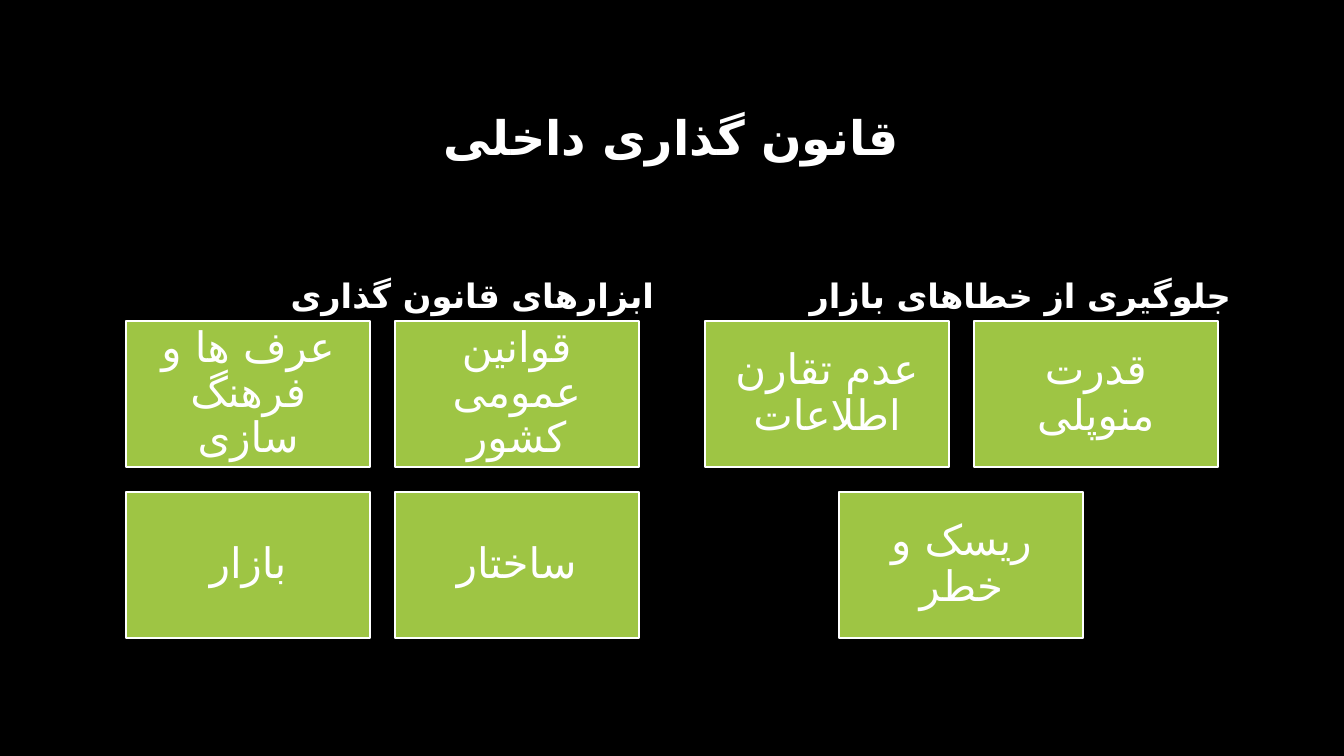
"""Builds a slide on domestic regulation with two headed groups of boxes."""
from dataclasses import dataclass

from lxml.etree import SubElement
from pptx import Presentation
from pptx.dml.color import RGBColor
from pptx.enum.shapes import MSO_SHAPE
from pptx.enum.text import MSO_ANCHOR, MSO_AUTO_SIZE, PP_ALIGN
from pptx.oxml.ns import qn
from pptx.util import Cm, Pt


@dataclass(frozen=True)
class Theme:
    background: RGBColor = RGBColor(0x00, 0x00, 0x00)
    text: RGBColor = RGBColor(0xFF, 0xFF, 0xFF)
    box: RGBColor = RGBColor(0x9E, 0xC5, 0x44)
    font: str = "TeX Gyre Bonum"
    persian_font: str = "DejaVu Sans"
    title_size: Pt = Pt(34)
    heading_size: Pt = Pt(24)
    box_size: Pt = Pt(30)
    outline: Pt = Pt(1.5)


THEME = Theme()
BOX_WIDTH, BOX_HEIGHT, GAP = Cm(6.15), Cm(3.69), Cm(0.62)
BOXES_TOP = Cm(8.08)
HEADING_TOP, HEADING_HEIGHT = Cm(5.79), Cm(2.29)
PER_ROW = 2
COLUMNS = [
    (1, Cm(3.18), Cm(13.56), "ابزارهای قانون گذاری",
     ["عرف ها و فرهنگ سازی", "قوانین عمومی کشور", "بازار", "ساختار"]),
    (3, Cm(17.77), Cm(13.51), "جلوگیری از خطاهای بازار",
     ["عدم تقارن اطلاعات", "قدرت منوپلی", "ریسک و خطر"]),
]


def write_text(tf, text, size, align, anchor, bold=False):
    """Fill a text frame with one formatted Persian run."""
    tf.word_wrap = True
    tf.auto_size = MSO_AUTO_SIZE.NONE
    tf.vertical_anchor = anchor
    p = tf.paragraphs[0]
    p.alignment = align
    r = p.add_run()
    r.text = text
    r.font.size, r.font.bold, r.font.name = size, bold, THEME.font
    r.font.color.rgb = THEME.text
    SubElement(r.font._element, qn("a:cs"), typeface=THEME.persian_font)
    return p


def place(sp, left, top, width, height):
    """Move and size a placeholder."""
    sp.left, sp.top, sp.width, sp.height = left, top, width, height


def add_title(s, text):
    """Write the slide title."""
    sp = s.shapes.title
    place(sp, Cm(2.54), Cm(1.7), Cm(28.75), Cm(3.68))
    p = write_text(sp.text_frame, text, THEME.title_size,
                   PP_ALIGN.CENTER, MSO_ANCHOR.MIDDLE, bold=True)
    p.line_spacing = 0.9


def add_heading(sp, left, width, text):
    """Write a right-to-left column heading."""
    place(sp, left, HEADING_TOP, width, HEADING_HEIGHT)
    p = write_text(sp.text_frame, text, THEME.heading_size,
                   PP_ALIGN.RIGHT, MSO_ANCHOR.BOTTOM, bold=True)
    p.space_before = Pt(10)
    p._p.get_or_add_pPr().set("rtl", "1")


def add_box(group, left, top, text):
    """Draw one labelled box."""
    sp = group.shapes.add_shape(MSO_SHAPE.RECTANGLE, left, top, BOX_WIDTH, BOX_HEIGHT)
    sp.shadow.inherit = False
    sp.fill.solid()
    sp.fill.fore_color.rgb = THEME.box
    sp.line.color.rgb = THEME.text
    sp.line.width = THEME.outline
    tf = sp.text_frame
    tf.margin_left = tf.margin_right = tf.margin_top = tf.margin_bottom = Cm(0.3)
    p = write_text(tf, text, THEME.box_size, PP_ALIGN.CENTER, MSO_ANCHOR.MIDDLE)
    p.line_spacing = 0.9


def add_box_grid(s, left, labels):
    """Lay out boxes in rows, centring a short last row."""
    group = s.shapes.add_group_shape()
    pitch = BOX_WIDTH + GAP
    for start in range(0, len(labels), PER_ROW):
        row = labels[start:start + PER_ROW]
        row_left = left + (PER_ROW - len(row)) * pitch // 2
        top = BOXES_TOP + start // PER_ROW * (BOX_HEIGHT + GAP)
        for i, label in enumerate(row):
            add_box(group, row_left + i * pitch, top, label)


def main():
    """Build and save the slide."""
    prs = Presentation()
    prs.slide_width, prs.slide_height = Cm(33.87), Cm(19.05)
    s = prs.slides.add_slide(prs.slide_layouts.get_by_name("Comparison"))
    s.background.fill.solid()
    s.background.fill.fore_color.rgb = THEME.background
    add_title(s, "قانون گذاری داخلی")
    placeholders = {sp.placeholder_format.idx: sp for sp in s.placeholders}
    for idx, left, width, heading, labels in COLUMNS:
        add_heading(placeholders[idx], left, width, heading)
        add_box_grid(s, left, labels)
    for sp in list(s.placeholders):
        if not sp.text_frame.text:
            sp._element.getparent().remove(sp._element)
    prs.save("out.pptx")


if __name__ == "__main__":
    main()
